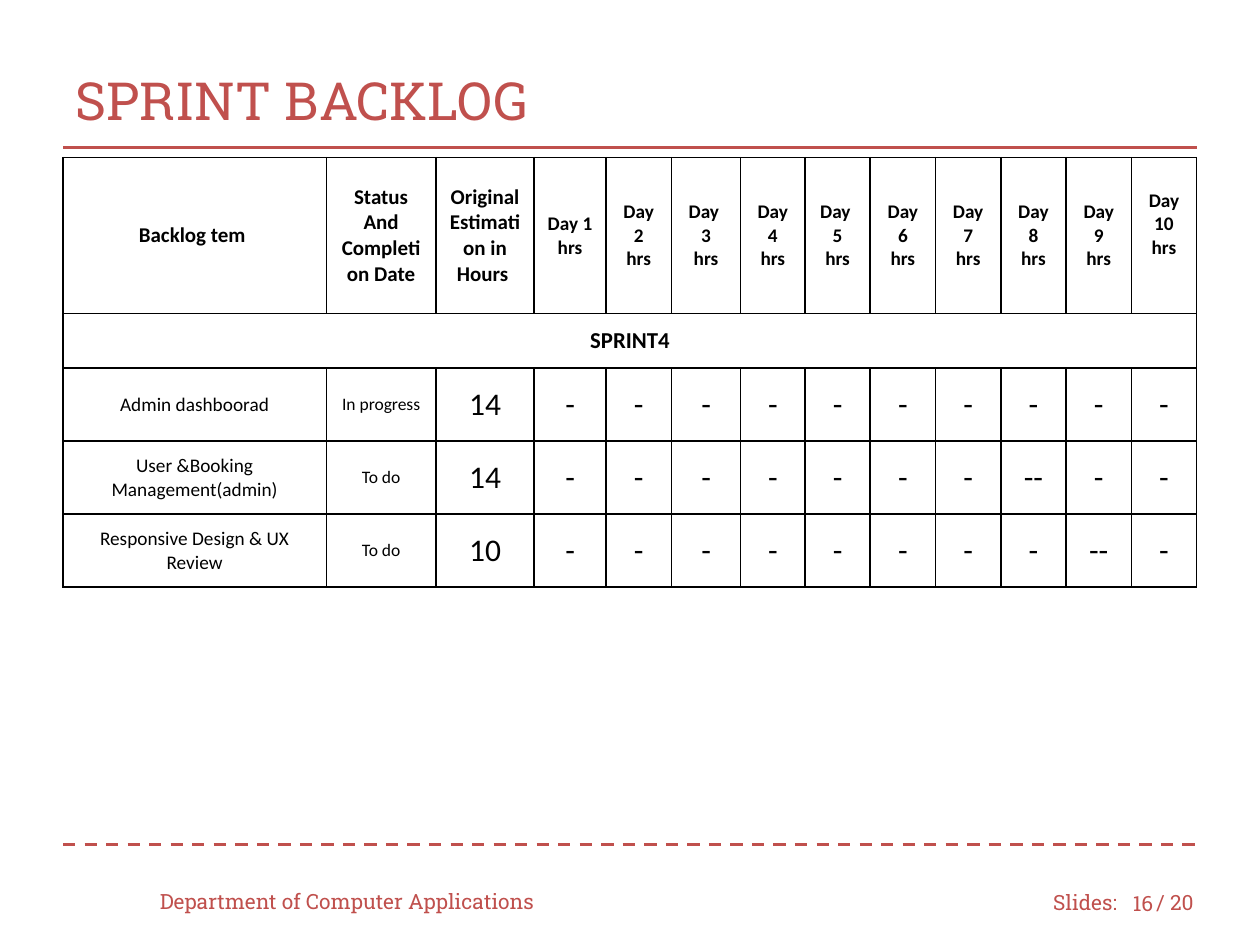
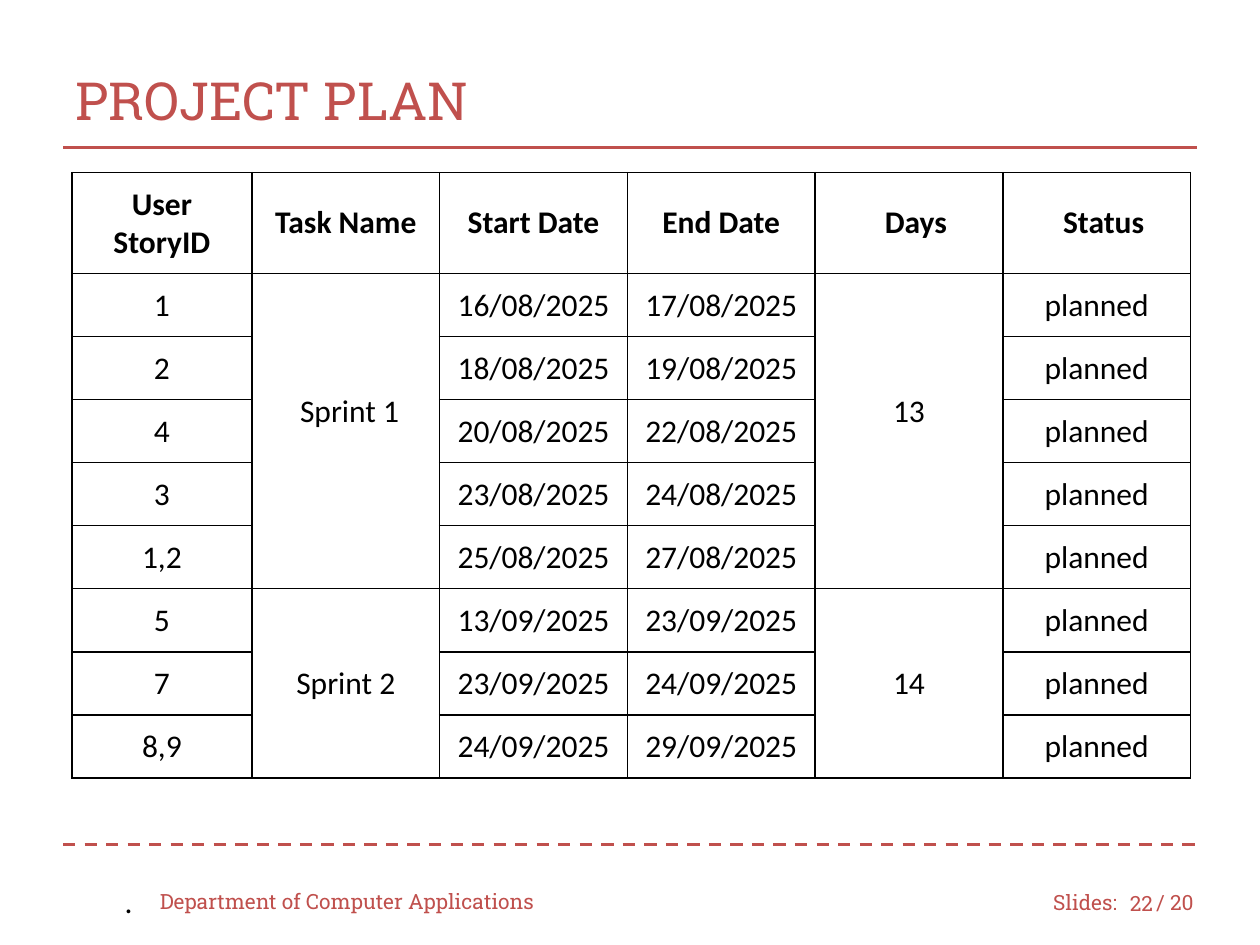
from pptx import Presentation
from pptx.dml.color import RGBColor
from pptx.enum.dml import MSO_LINE
from pptx.enum.shapes import MSO_CONNECTOR
from pptx.enum.text import MSO_ANCHOR, MSO_AUTO_SIZE, PP_ALIGN
from pptx.oxml import parse_xml
from pptx.oxml.ns import nsdecls, qn
from pptx.util import Inches, Pt

RED, BLACK, WHITE = "C0504D", "000000", "FFFFFF"
SERIF, SANS = "Roboto Slab", "Calibri"
WIDTH, HEIGHT, EDGE = 10, 7.5, 0.5
RULES = [(1.17, None), (6.7, MSO_LINE.DASH)]  # top, dash
FOOTER = [("Slides:", 8.26, 6.96, 0.75), ("/ 20", 9.08, 6.96, 0.58),
          ("Department of Computer Applications", 1.17, 6.95, 3.33)]

# Sprint backlog
BACKLOG_HEAD = ["Backlog tem ", "Status And Completion Date", "Original Estimation in Hours "]
DAY_HEAD = ["Day 1", "Day 2", "Day \n3", "Day\n4", "Day \n5",
            "Day 6", "Day 7", "Day 8", "Day 9", "Day 10"]
SPRINT = "SPRINT4"
BACKLOG = [  # item, status, hours, day shown with a double dash
    ("Admin dashboorad", "In progress", "14", None),
    ("User &Booking Management(admin)", "To do", "14", 8),
    ("Responsive Design & UX Review", "To do", "10", 9),
]
BACKLOG_COLS = [2.09, 0.87, 0.78, 0.57, 0.52, 0.55, 0.51]
BACKLOG_ROWS = [1.24, 0.43, 0.58, 0.58, 0.58]

# Project plan
PLAN_HEAD = ["User\nStoryID", "Task Name", "Start Date", "End Date", "Days", "Status"]
PLAN = [  # sprint, days, stories
    ("Sprint 1", "13", [("1", "16/08/2025", "17/08/2025"), ("2", "18/08/2025", "19/08/2025"),
                        ("4", "20/08/2025", "22/08/2025"), ("3", "23/08/2025", "24/08/2025"),
                        ("1,2", "25/08/2025", "27/08/2025")]),
    ("Sprint 2", "14", [("5", "13/09/2025", "23/09/2025"), ("7", "23/09/2025", "24/09/2025"),
                        ("8,9", "24/09/2025", "29/09/2025")]),
]
STATUS = "planned"
PLAN_COLS = [1.43] + [1.49] * 5
PLAN_HEAD_HEIGHT, PLAN_ROW_HEIGHT = 0.8, 0.5


def rgb(color):
    return RGBColor.from_string(color)


def style(tf, size, font, color, align, bold=False):
    for p in tf.paragraphs:
        p.alignment = align
        for r in p.runs:
            r.font.size, r.font.name, r.font.bold = Pt(size), font, bold
            r.font.color.rgb = rgb(color)


def place(sp, left, top, width, height):
    sp.left, sp.top, sp.width, sp.height = map(Inches, (left, top, width, height))


def add_text(s, text, left, top, width, align=PP_ALIGN.LEFT, size=12,
             font=SERIF, color=RED, anchor=MSO_ANCHOR.MIDDLE):
    tf = s.shapes.add_textbox(*map(Inches, (left, top, width, 0.4))).text_frame
    tf.text, tf.word_wrap, tf.vertical_anchor = text, True, anchor
    style(tf, size, font, color, align)


def add_slide(prs, title, number):
    """Add a slide with the title, rules and footer that all slides share."""
    s = prs.slides.add_slide(prs.slide_layouts[5])
    s.background.fill.solid()
    s.background.fill.fore_color.rgb = rgb(WHITE)
    for top, dash in RULES:
        ends = map(Inches, (EDGE, top, WIDTH - EDGE, top))
        line = s.shapes.add_connector(MSO_CONNECTOR.STRAIGHT, *ends)
        line.line.color.rgb, line.line.width = rgb(RED), Pt(1.75)
        line.line.dash_style = dash
        line._element.spPr.append(parse_xml(f"<a:effectLst {nsdecls('a')}/>"))
    sp = s.shapes.title
    place(sp, EDGE, 0.33, WIDTH - 2 * EDGE, 0.92)
    tf = sp.text_frame
    tf.text, tf.vertical_anchor, tf.auto_size = title, MSO_ANCHOR.MIDDLE, MSO_AUTO_SIZE.NONE
    style(tf, 30, SERIF, RED, PP_ALIGN.LEFT)
    for item in FOOTER:
        add_text(s, *item)
    add_text(s, number, 8.83, 6.97, 0.42, PP_ALIGN.RIGHT)
    return s


def add_borders(cell):
    tcPr = cell._tc.get_or_add_tcPr()
    for i, side in enumerate("LRTB"):
        tcPr.insert(i, parse_xml(
            f'<a:ln{side} {nsdecls("a")} w="12700"><a:solidFill>'
            f'<a:srgbClr val="{BLACK}"/></a:solidFill></a:ln{side}>'))


def add_grid(s, left, top, cols, rows):
    """Add an empty white table with black cell borders."""
    frame = s.shapes.add_table(len(rows), len(cols), *map(
        Inches, (left, top, sum(cols), sum(rows))))
    table = frame.table
    table.first_row = table.horz_banding = False
    for col, width in zip(table.columns, cols):
        col.width = Inches(width)
    for row, height in zip(table.rows, rows):
        row.height = Inches(height)
    for cell in table.iter_cells():
        cell.fill.solid()
        cell.fill.fore_color.rgb = rgb(WHITE)
        add_borders(cell)
        cell.vertical_anchor = MSO_ANCHOR.MIDDLE
        cell.margin_left = cell.margin_right = Inches(0.1)
        cell.margin_top = cell.margin_bottom = Inches(0.1)
    return table


def write(cell, text, size, bold=False):
    cell.text_frame.text = text
    style(cell.text_frame, size, SANS, BLACK, PP_ALIGN.CENTER, bold)


def build_backlog(prs):
    s = add_slide(prs, "SPRINT BACKLOG", "16")
    rest = len(BACKLOG_HEAD) + len(DAY_HEAD) - len(BACKLOG_COLS)
    share = (WIDTH - 2 * EDGE - sum(BACKLOG_COLS)) / rest
    table = add_grid(s, EDGE, 1.25, BACKLOG_COLS + [share] * rest, BACKLOG_ROWS)
    heads = [(h, 12) for h in BACKLOG_HEAD] + [(f"{d}\nhrs", 11) for d in DAY_HEAD]
    last = len(heads) - 1
    for c, (text, size) in enumerate(heads):
        write(table.cell(0, c), text, size, True)
    table.cell(0, last).margin_bottom = Inches(0.28)
    table.cell(1, 0).merge(table.cell(1, last))
    write(table.cell(1, 0), SPRINT, 13, True)
    for r, (item, status, hours, double) in enumerate(BACKLOG, 2):
        days = ["--" if d == double else "-" for d in range(1, len(DAY_HEAD) + 1)]
        sizes = [11, 10] + [18] * (len(days) + 1)
        for c, (text, size) in enumerate(zip([item, status, hours] + days, sizes)):
            write(table.cell(r, c), text, size)


def build_plan(prs):
    s = add_slide(prs, "PROJECT PLAN", "22")
    add_text(s, ".", 0.89, 6.95, 8.58, size=18, font=SANS, color=BLACK, anchor=MSO_ANCHOR.TOP)
    count = sum(len(stories) for _, _, stories in PLAN)
    table = add_grid(s, 0.57, 1.37, PLAN_COLS, [PLAN_HEAD_HEIGHT] + [PLAN_ROW_HEIGHT] * count)
    for c, text in enumerate(PLAN_HEAD):
        write(table.cell(0, c), text, 18, True)
    for c in (4, 5):
        table.cell(0, c).margin_left = Inches(0.21)
    top = 1
    for sprint, days, stories in PLAN:
        for c, text in ((1, sprint), (4, days)):
            table.cell(top, c).merge(table.cell(top + len(stories) - 1, c))
            write(table.cell(top, c), text, 18)
        for r, (story, start, end) in enumerate(stories, top):
            for c, text in ((0, story), (2, start), (3, end), (5, STATUS)):
                write(table.cell(r, c), text, 18)
        top += len(stories)
    for c in (1, 4):  # the first sprint sits above the middle
        table.cell(1, c).margin_bottom = Inches(0.4)
    table.cell(1, 1).margin_left = Inches(0.16)


def main():
    prs = Presentation()
    prs.slide_width, prs.slide_height = Inches(WIDTH), Inches(HEIGHT)
    build_backlog(prs)
    build_plan(prs)
    prs.save("out.pptx")


if __name__ == "__main__":
    main()
